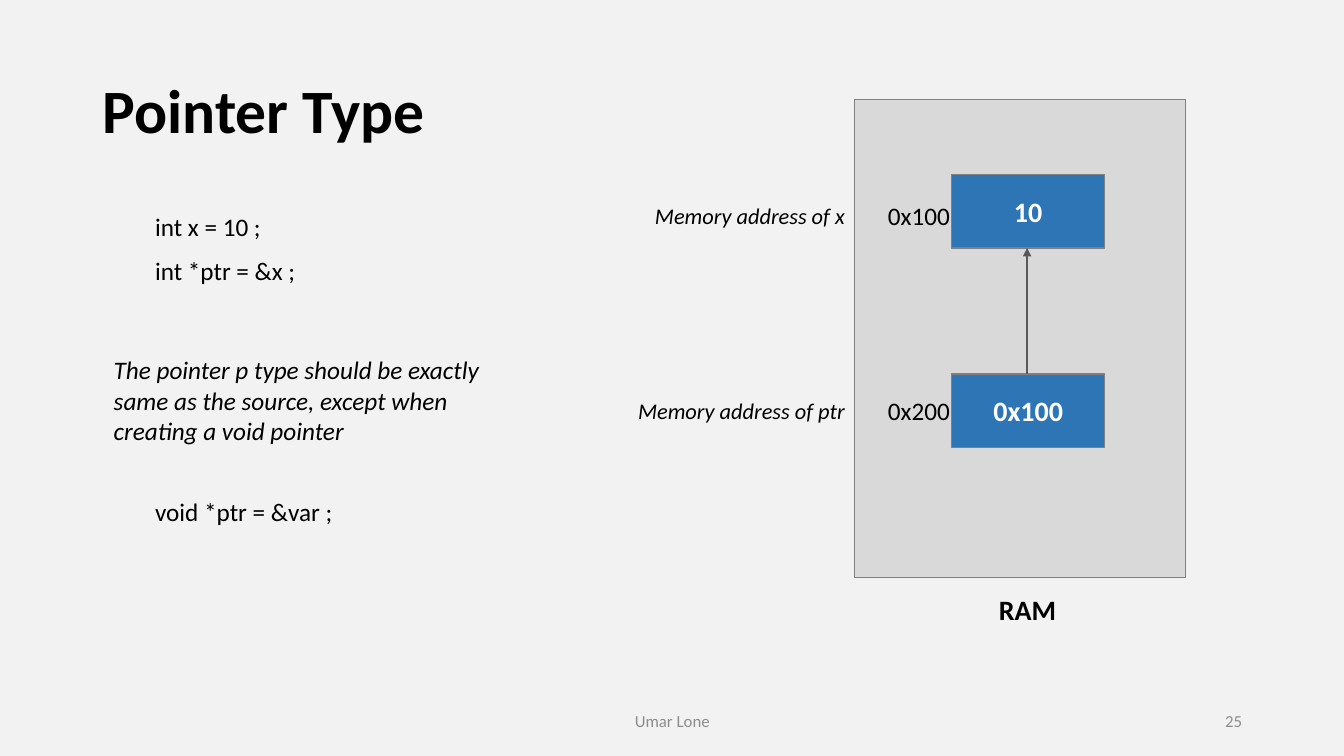
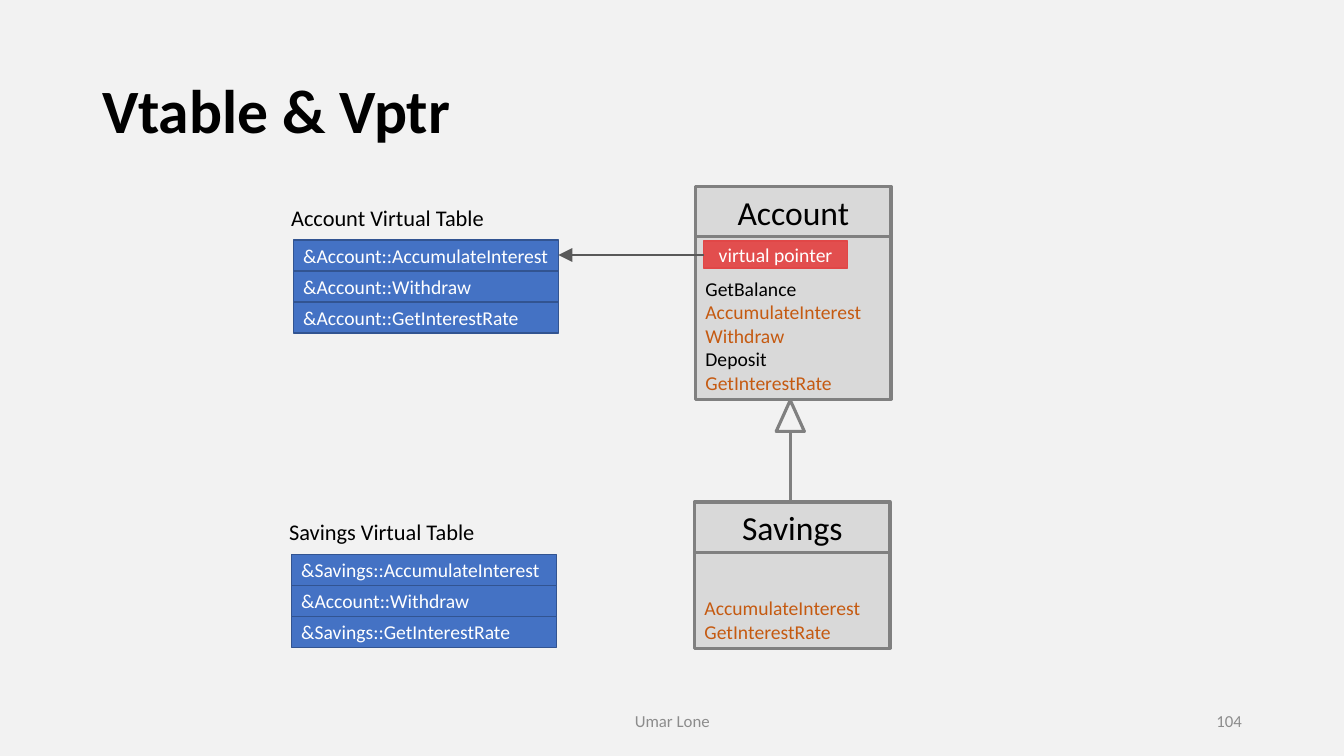
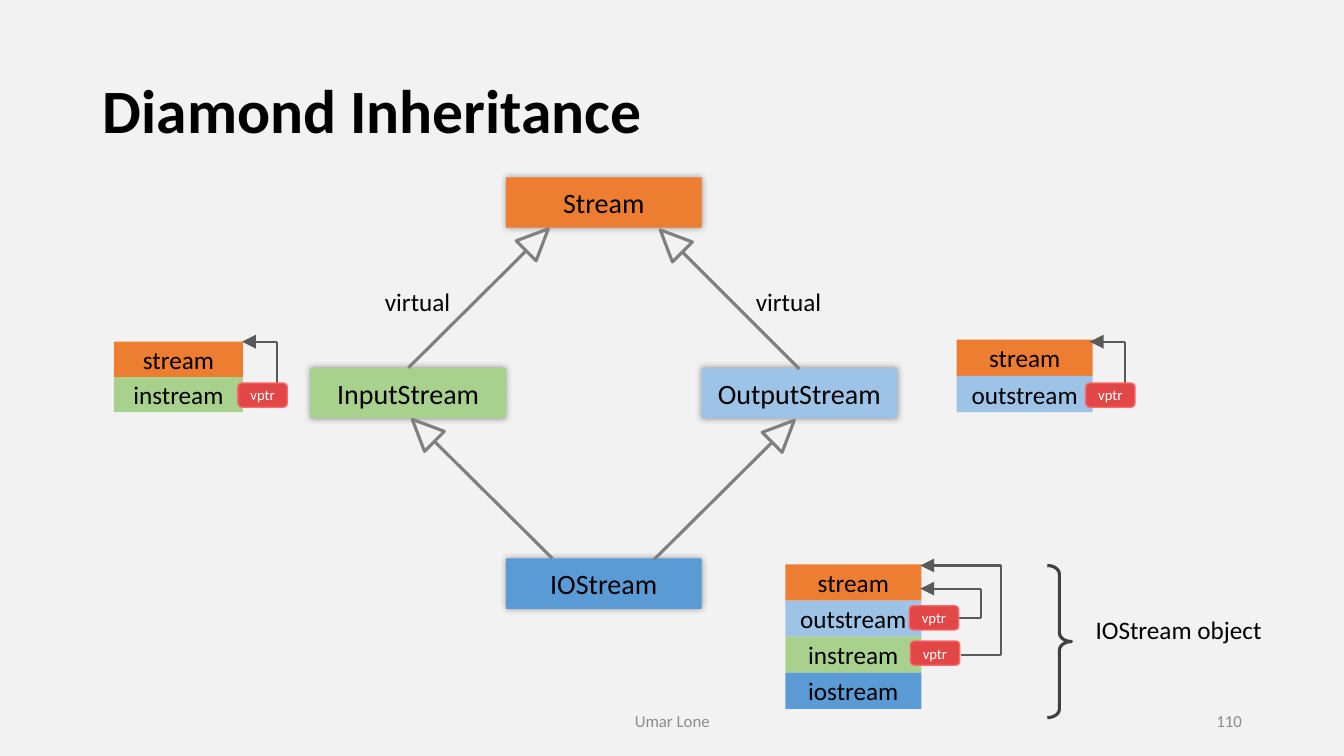
import math
from dataclasses import dataclass, replace
from typing import Optional, Sequence

import lxml.etree
import pptx
import pptx.dml.color
import pptx.enum.shapes
import pptx.enum.text
import pptx.oxml.ns
import pptx.presentation
import pptx.shapes.autoshape
import pptx.shapes.base
import pptx.slide
import pptx.util

RGBColor = pptx.dml.color.RGBColor
Pt = pptx.util.Pt
qn = pptx.oxml.ns.qn
Align = pptx.enum.text.PP_ALIGN
Anchor = pptx.enum.text.MSO_ANCHOR
Preset = pptx.enum.shapes.MSO_SHAPE
Point = tuple[float, float]

# The slide is a grid of square cells, 75 rows high.
COLUMNS, ROWS = 133.33, 75
CELL = pptx.util.Inches(0.1)

FONT = "Calibri"
TITLE_ONLY_LAYOUT = 5
MEDIUM_HEAD, LARGE_HEAD = "med", "lg"

BLACK = RGBColor(0x00, 0x00, 0x00)
WHITE = RGBColor(0xFF, 0xFF, 0xFF)
PAPER = RGBColor(0xF2, 0xF2, 0xF2)
PANEL = RGBColor(0xD9, 0xD9, 0xD9)
GRAY = RGBColor(0x80, 0x80, 0x80)
FOOTER_GRAY = RGBColor(0x8C, 0x8C, 0x8C)
ARROW_GRAY = RGBColor(0x59, 0x59, 0x59)
BRACE_GRAY = RGBColor(0x40, 0x40, 0x40)
MEMORY_BLUE = RGBColor(0x2E, 0x75, 0xB6)
TABLE_BLUE = RGBColor(0x44, 0x72, 0xC4)
TABLE_EDGE = RGBColor(0x32, 0x54, 0x91)
VIRTUAL_ORANGE = RGBColor(0xC5, 0x5A, 0x11)
POINTER_RED = RGBColor(0xE2, 0x4E, 0x4E)
BADGE_RED = RGBColor(0xE1, 0x47, 0x47)
BADGE_EDGE = RGBColor(0xFF, 0x69, 0x69)
ORANGE = RGBColor(0xED, 0x7D, 0x31)
GREEN = RGBColor(0xA9, 0xD1, 0x8E)
LIGHT_BLUE = RGBColor(0x9D, 0xC3, 0xE6)
BLUE = RGBColor(0x5B, 0x9B, 0xD5)


@dataclass(frozen=True)
class Box:
    """A rectangle in grid cells."""
    left: float
    top: float
    width: float
    height: float

    def lengths(self) -> list[int]:
        return [round(n * CELL) for n in (self.left, self.top, self.width, self.height)]


@dataclass(frozen=True)
class TextStyle:
    size: float
    color: RGBColor = BLACK
    bold: bool = False
    italic: bool = False
    align: Align = Align.LEFT
    anchor: Anchor = Anchor.MIDDLE


@dataclass(frozen=True)
class Look:
    fill: Optional[RGBColor] = None
    line: Optional[RGBColor] = None
    line_width: float = 1
    preset: Preset = Preset.RECTANGLE


@dataclass(frozen=True)
class Row:
    text: str
    fill: RGBColor


@dataclass(frozen=True)
class PointerLoop:
    """A vptr badge and the arrow that leaves it."""
    badge: Point
    route: tuple[Point, ...]


TITLE = TextStyle(44, bold=True)
BODY = TextStyle(18, anchor=Anchor.TOP)
NOTE = replace(BODY, italic=True)
ADDRESS = TextStyle(18)
MEMORY_NOTE = TextStyle(16, italic=True, align=Align.RIGHT, anchor=Anchor.TOP)
MEMORY_VALUE = TextStyle(20, WHITE, bold=True, align=Align.CENTER)
CAPTION = TextStyle(20, bold=True, align=Align.CENTER, anchor=Anchor.TOP)
TABLE_CAPTION = TextStyle(16, anchor=Anchor.TOP)
TABLE_ROW = TextStyle(14, WHITE)
POINTER = TextStyle(14, WHITE, align=Align.CENTER)
CLASS_NAME = TextStyle(24, align=Align.CENTER)
MEMBERS = TextStyle(14, anchor=Anchor.BOTTOM)
NODE = TextStyle(20, align=Align.CENTER)
OBJECT_ROW = TextStyle(18, align=Align.CENTER)
BADGE = TextStyle(10.5, WHITE, align=Align.CENTER)
FOOTER = TextStyle(12, FOOTER_GRAY, align=Align.CENTER)

CLASS_LOOK = Look(PANEL, GRAY, 2.25)
BADGE_LOOK = Look(BADGE_RED, BADGE_EDGE, preset=Preset.ROUNDED_RECTANGLE)


def write(shape: pptx.shapes.base.BaseShape, text: str, style: TextStyle) -> None:
    frame = shape.text_frame
    frame.text = text
    frame.word_wrap = True
    frame.vertical_anchor = style.anchor
    for paragraph in frame.paragraphs:
        paragraph.alignment = style.align
        for run in paragraph.runs:
            run.font.name = FONT
            run.font.size = Pt(style.size)
            run.font.bold = style.bold
            run.font.italic = style.italic
            run.font.color.rgb = style.color


def add_text(slide: pptx.slide.Slide, box: Box, text: str, style: TextStyle) -> None:
    write(slide.shapes.add_textbox(*box.lengths()), text, style)


def add_block(slide: pptx.slide.Slide, box: Box, look: Look, text: str = "",
              style: TextStyle = NODE) -> pptx.shapes.autoshape.Shape:
    shape = slide.shapes.add_shape(look.preset, *box.lengths())
    shape.shadow.inherit = False
    if look.fill is None:
        shape.fill.background()
    else:
        shape.fill.solid()
        shape.fill.fore_color.rgb = look.fill
    if look.line is None:
        shape.line.fill.background()
    else:
        shape.line.color.rgb = look.line
        shape.line.width = Pt(look.line_width)
    if text:
        write(shape, text, style)
    return shape


def add_glow(shape: pptx.shapes.autoshape.Shape) -> None:
    """Give the shape a soft shadow on all sides."""
    effects = shape.element.spPr.find(qn("a:effectLst"))
    shadow = lxml.etree.SubElement(effects, qn("a:outerShdw"), blurRad=str(Pt(5)), dist="0",
                                   dir="0", algn="ctr", rotWithShape="0")
    color = lxml.etree.SubElement(shadow, qn("a:srgbClr"), val=str(BLACK))
    lxml.etree.SubElement(color, qn("a:alpha"), val="40000")


def add_line(slide: pptx.slide.Slide, start: Point, end: Point, color: RGBColor = ARROW_GRAY,
             width: float = 1.5, head: Optional[str] = None) -> None:
    ends = [round(n * CELL) for n in (*start, *end)]
    connector = slide.shapes.add_connector(pptx.enum.shapes.MSO_CONNECTOR.STRAIGHT, *ends)
    connector.line.color.rgb = color
    connector.line.width = Pt(width)
    properties = connector.element.spPr
    if head:
        lxml.etree.SubElement(properties.find(qn("a:ln")), qn("a:tailEnd"),
                              type="triangle", w=head, len=head)
    lxml.etree.SubElement(properties, qn("a:effectLst"))


def add_route(slide: pptx.slide.Slide, points: Sequence[Point]) -> None:
    """Join the points with lines; the last one is an arrow."""
    for start, end in zip(points, points[1:]):
        add_line(slide, start, end, head=LARGE_HEAD if end == points[-1] else None)


def add_inheritance(slide: pptx.slide.Slide, child: Point, parent: Point) -> None:
    """Draw a UML arrow with a hollow head whose tip touches the parent."""
    width, height = 2.8, 3.1
    angle = math.atan2(parent[0] - child[0], child[1] - parent[1])

    def behind_tip(distance: float) -> Point:
        return parent[0] - distance * math.sin(angle), parent[1] + distance * math.cos(angle)

    x, y = behind_tip(height / 2)
    head = add_block(slide, Box(x - width / 2, y - height / 2, width, height),
                     Look(None, GRAY, 2.25, Preset.ISOSCELES_TRIANGLE))
    head.rotation = math.degrees(angle)
    add_line(slide, child, behind_tip(height), GRAY, 2.25)


def add_stack(slide: pptx.slide.Slide, first: Box, rows: Sequence[Row], style: TextStyle,
              line: Optional[RGBColor] = None) -> None:
    """Put equal rows under each other, starting at the first box."""
    for index, row in enumerate(rows):
        box = replace(first, top=first.top + index * first.height)
        add_block(slide, box, Look(row.fill, line), row.text, style)


def add_virtual_table(slide: pptx.slide.Slide, left: float, top: float, owner: str,
                      entries: Sequence[str]) -> None:
    add_text(slide, Box(left - 1.2, top - 4.05, 21.7, 3.7), f"{owner} Virtual Table", TABLE_CAPTION)
    rows = [Row(entry, TABLE_BLUE) for entry in entries]
    add_stack(slide, Box(left, top, 26.3, 3.08), rows, TABLE_ROW, TABLE_EDGE)


def add_class(slide: pptx.slide.Slide, left: float, top: float, height: float, name: str,
              members: Sequence[str], plain: Sequence[str] = ()) -> None:
    """Draw a class whose members are virtual unless listed as plain."""
    width, header = 19.4, 5
    add_block(slide, Box(left, top, width, header), CLASS_LOOK, name, CLASS_NAME)
    body = add_block(slide, Box(left, top + header, width, height - header), CLASS_LOOK,
                     "\n".join(members), MEMBERS)
    for paragraph in body.text_frame.paragraphs:
        if paragraph.text not in plain:
            paragraph.runs[0].font.color.rgb = VIRTUAL_ORANGE


def add_pointer_loop(slide: pptx.slide.Slide, loop: PointerLoop) -> None:
    add_route(slide, loop.route)
    add_block(slide, Box(*loop.badge, 4.9, 2.4), BADGE_LOOK, "vptr", BADGE)


def prepare_template(presentation: pptx.presentation.Presentation) -> None:
    presentation.slide_width = round(COLUMNS * CELL)
    presentation.slide_height = ROWS * CELL
    background = presentation.slide_master.background.fill
    background.solid()
    background.fore_color.rgb = PAPER
    title = presentation.slide_layouts[TITLE_ONLY_LAYOUT].placeholders[0]
    title.left, title.top, title.width, title.height = Box(9.2, 4, 115, 14.5).lengths()


def add_slide(presentation: pptx.presentation.Presentation, title: str, number: int) -> pptx.slide.Slide:
    slide = presentation.slides.add_slide(presentation.slide_layouts[TITLE_ONLY_LAYOUT])
    write(slide.shapes.title, title, TITLE)
    slide.shapes.title.text_frame.paragraphs[0].line_spacing = 0.9
    add_text(slide, Box(44.2, 69.5, 45, 4), "Umar Lone", FOOTER)
    add_text(slide, Box(94.2, 69.5, 30, 4), str(number), replace(FOOTER, align=Align.RIGHT))
    return slide


def build_pointer_type(presentation: pptx.presentation.Presentation) -> None:
    slide = add_slide(presentation, "Pointer Type", 25)
    for top, code in ((20.5, "int x = 10 ;"), (24.8, "int *ptr = &x ;"), (48.7, "void *ptr = &var ;")):
        add_text(slide, Box(14.4, top, 21.7, 4), code, BODY)
    add_text(slide, Box(10.3, 34.7, 38.7, 10.1),
             "The pointer p type should be exactly same as the source, "
             "except when creating a void pointer", NOTE)

    add_block(slide, Box(84.8, 9.9, 32.8, 47.4), Look(PANEL, GRAY))
    add_text(slide, Box(91.1, 58.3, 21.7, 4.4), "RAM", CAPTION)
    variables = (("x", "0x100", "10", 17.3, 21.4), ("ptr", "0x200", "0x100", 37.1, 40.7))
    for name, address, value, top, middle in variables:
        add_block(slide, Box(94.4, top, 15.2, 7.3), Look(MEMORY_BLUE, GRAY), value, MEMORY_VALUE)
        add_text(slide, Box(87.1, middle - 1.9, 10.5, 3.8), address, ADDRESS)
        add_text(slide, Box(61.6, middle - 1.8, 23.2, 3.7), f"Memory address of {name}", MEMORY_NOTE)
    add_line(slide, (101.9, 37.1), (101.9, 24.6), head=MEDIUM_HEAD)


def build_virtual_table(presentation: pptx.presentation.Presentation) -> None:
    slide = add_slide(presentation, "Vtable & Vptr", 104)
    add_class(slide, 69, 18.5, 21.1, "Account",
              ["GetBalance", "AccumulateInterest Withdraw", "Deposit", "GetInterestRate"],
              plain=["GetBalance", "Deposit"])
    add_class(slide, 68.9, 49.8, 14.5, "Savings", ["AccumulateInterest", "GetInterestRate"])
    add_virtual_table(slide, 29.1, 23.8, "Account",
                      ["&Account::AccumulateInterest", "&Account::Withdraw", "&Account::GetInterestRate"])
    add_virtual_table(slide, 28.9, 55, "Savings",
                      ["&Savings::AccumulateInterest", "&Account::Withdraw", "&Savings::GetInterestRate"])
    add_inheritance(slide, child=(78.4, 49.8), parent=(78.4, 39.7))
    add_block(slide, Box(69.8, 23.9, 14.3, 2.7), Look(POINTER_RED, BADGE_RED), "virtual pointer", POINTER)
    add_line(slide, (69.8, 25.3), (55.4, 25.3), head=LARGE_HEAD)


def build_diamond(presentation: pptx.presentation.Presentation) -> None:
    slide = add_slide(presentation, "Diamond Inheritance", 110)
    node_width = 19.4
    nodes = (("Stream", ORANGE, 1, 0), ("InputStream", GREEN, 0, 1),
             ("OutputStream", LIGHT_BLUE, 2, 1), ("IOStream", BLUE, 1, 2))
    for name, fill, column, row in nodes:
        box = Box(30.8 + column * node_width, 17.6 + row * 18.9, node_width, 5)
        add_glow(add_block(slide, box, Look(fill), name, NODE))
    links = (((40.5, 36.5), (54.4, 22.7)), ((79.3, 36.6), (65.5, 22.8)),
             ((54.8, 55.4), (40.9, 41.6)), ((64.9, 55.5), (78.8, 41.7)))
    for child, parent in links:
        add_inheritance(slide, child, parent)
    for left in (37.2, 74):
        add_text(slide, Box(left, 27.9, 9.7, 4), "virtual", BODY)

    stream, instream = Row("stream", ORANGE), Row("instream", GREEN)
    outstream, iostream = Row("outstream", LIGHT_BLUE), Row("iostream", BLUE)
    objects = ((Box(11.3, 33.9, 12.8, 3.5), [stream, instream]),
               (Box(94.9, 33.7, 13.5, 3.6), [stream, outstream]),
               (Box(77.9, 56, 13.5, 3.58), [stream, outstream, instream, iostream]))
    for first, rows in objects:
        add_stack(slide, first, rows, OBJECT_ROW)
    loops = (PointerLoop((23.6, 38), ((27.5, 38), (27.5, 33.9), (24, 33.9))),
             PointerLoop((107.7, 38), ((111.6, 38), (111.6, 33.9), (108.1, 33.9))),
             PointerLoop((90.3, 63.6), ((95.3, 65), (99.3, 65), (99.3, 56.1), (91.3, 56.1))),
             PointerLoop((90.2, 60.1), ((95.1, 61.3), (97.3, 61.3), (97.3, 58.4), (91.3, 58.4))))
    for loop in loops:
        add_pointer_loop(slide, loop)

    brace = add_block(slide, Box(103.9, 56.1, 2.4, 15.1), Look(None, BRACE_GRAY, 2.25, Preset.RIGHT_BRACE))
    brace.adjustments[0], brace.adjustments[1] = 0.36, 0.5
    add_text(slide, Box(107.7, 60.5, 21.7, 4), "IOStream object", BODY)


def main() -> None:
    presentation = pptx.Presentation()
    prepare_template(presentation)
    build_pointer_type(presentation)
    build_virtual_table(presentation)
    build_diamond(presentation)
    presentation.save("out.pptx")


if __name__ == "__main__":
    main()
